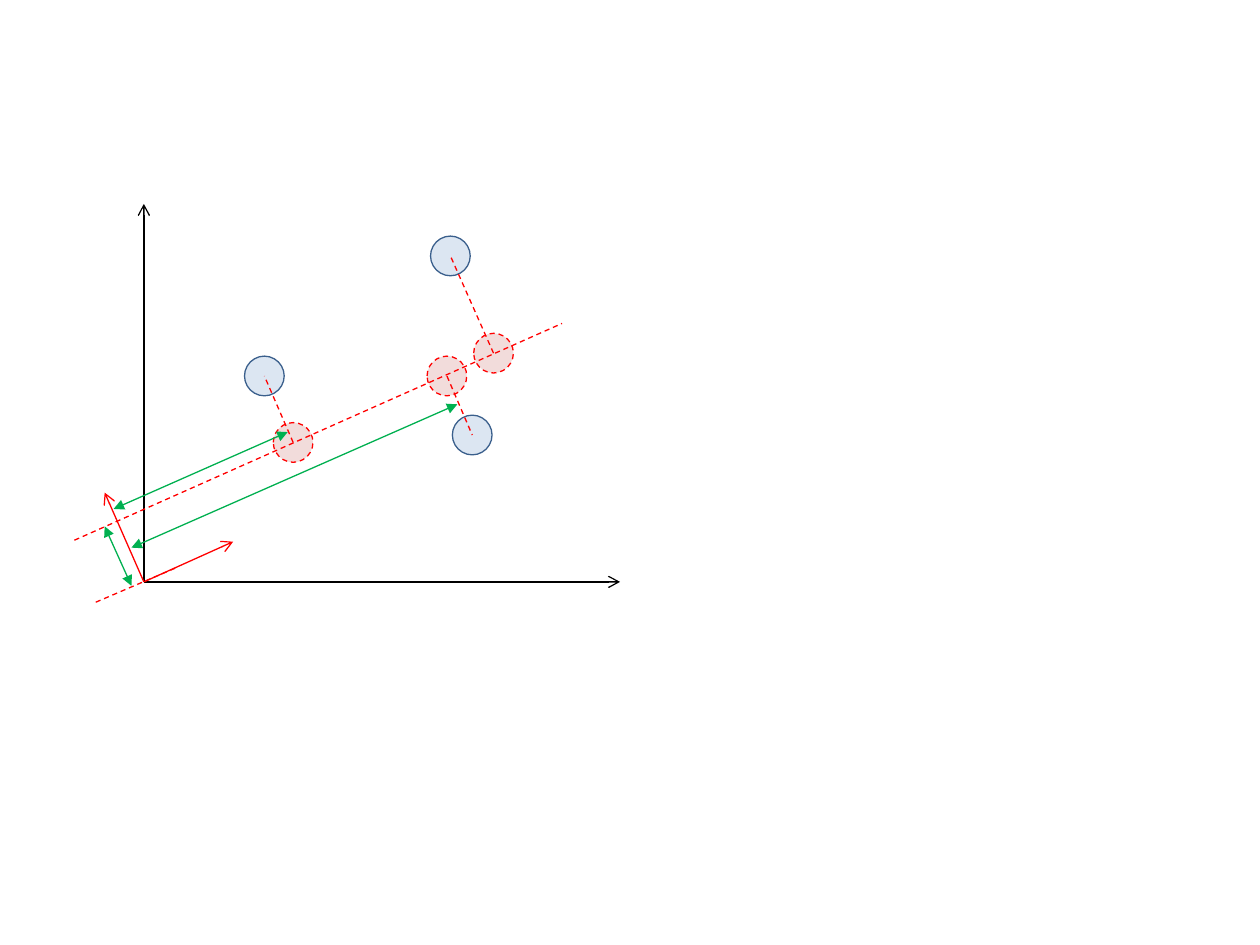
from dataclasses import dataclass

from lxml.etree import SubElement
from pptx import Presentation
from pptx.dml.color import RGBColor
from pptx.enum.dml import MSO_LINE
from pptx.enum.shapes import MSO_CONNECTOR, MSO_SHAPE
from pptx.oxml.ns import qn
from pptx.util import Cm, Pt


@dataclass(frozen=True)
class Theme:
    axis: str = "000000"
    projection: str = "FF0000"
    projection_fill: str = "F2DCDB"
    point: str = "3A5F8C"
    point_fill: str = "DCE6F2"
    distance: str = "00B050"
    stroke: float = 0.75


THEME = Theme()
DIAMETER = 0.8
POINTS = [(2.43, 4.15), (6.62, 2.96), (6.18, 6.57)]
PROJECTIONS = [(3.01, 2.81), (6.11, 4.15), (7.05, 4.61)]
BASIS = [(1.8, 0.81), (-0.79, 1.8)]
PROJECTION_LINE = ((-1.4, 0.84), (8.43, 5.21))
BASE_LINE = ((-0.97, -0.41), (0.64, 0.28))
DISTANCES = [
    ((-0.25, -0.08), (-0.79, 1.12)),
    ((-0.61, 1.47), (2.9, 3.02)),
    ((-0.25, 0.69), (6.32, 3.58)),
]


def style_line(line, color, dashed=False):
    line.color.rgb = RGBColor.from_string(color)
    line.width = Pt(THEME.stroke)
    if dashed:
        line.dash_style = MSO_LINE.DASH


def add_segment(slide, start, end, color, dashed=False, head=None, tail=None):
    segment = slide.shapes.add_connector(
        MSO_CONNECTOR.STRAIGHT, *map(Cm, (*start, *end))
    )
    style_line(segment.line, color, dashed)
    outline = segment.line._get_or_add_ln()
    for tag, arrow in (("a:headEnd", head), ("a:tailEnd", tail)):
        if arrow:
            SubElement(outline, qn(tag), type=arrow)
    SubElement(segment._element.spPr, qn("a:effectLst"))


def add_circle(slide, center, fill, color, dashed=False):
    x, y = center
    circle = slide.shapes.add_shape(
        MSO_SHAPE.OVAL,
        Cm(x - DIAMETER / 2),
        Cm(y - DIAMETER / 2),
        Cm(DIAMETER),
        Cm(DIAMETER),
    )
    circle.shadow.inherit = False
    circle.fill.solid()
    circle.fill.fore_color.rgb = RGBColor.from_string(fill)
    style_line(circle.line, color, dashed)


def add_projection_plot(slide, left, top, width, height):
    origin_x = left - PROJECTION_LINE[0][0]
    origin_y = top + height + BASE_LINE[0][1]

    def place(position):
        return origin_x + position[0], origin_y - position[1]

    origin = place((0, 0))
    for projection in reversed(PROJECTIONS):
        add_circle(slide, place(projection), THEME.projection_fill,
                   THEME.projection, dashed=True)
    for axis_end in ((left + width, origin_y), (origin_x, top)):
        add_segment(slide, origin, axis_end, THEME.axis, tail="arrow")
    for point in POINTS:
        add_circle(slide, place(point), THEME.point_fill, THEME.point)
    for vector in BASIS:
        add_segment(slide, origin, place(vector), THEME.projection, tail="arrow")

    drops = list(zip(PROJECTIONS, POINTS))
    for start, end in [PROJECTION_LINE, *drops, BASE_LINE]:
        add_segment(slide, place(start), place(end), THEME.projection, dashed=True)
    for start, end in DISTANCES:
        add_segment(slide, place(start), place(end), THEME.distance,
                    head="triangle", tail="triangle")


def main():
    presentation = Presentation()
    presentation.slide_width = Cm(25.4)
    presentation.slide_height = Cm(19.05)
    slide = presentation.slides.add_slide(presentation.slide_layouts[6])
    add_projection_plot(slide, left=1.5, top=4.11, width=11, height=8.03)
    presentation.save("out.pptx")


if __name__ == "__main__":
    main()
